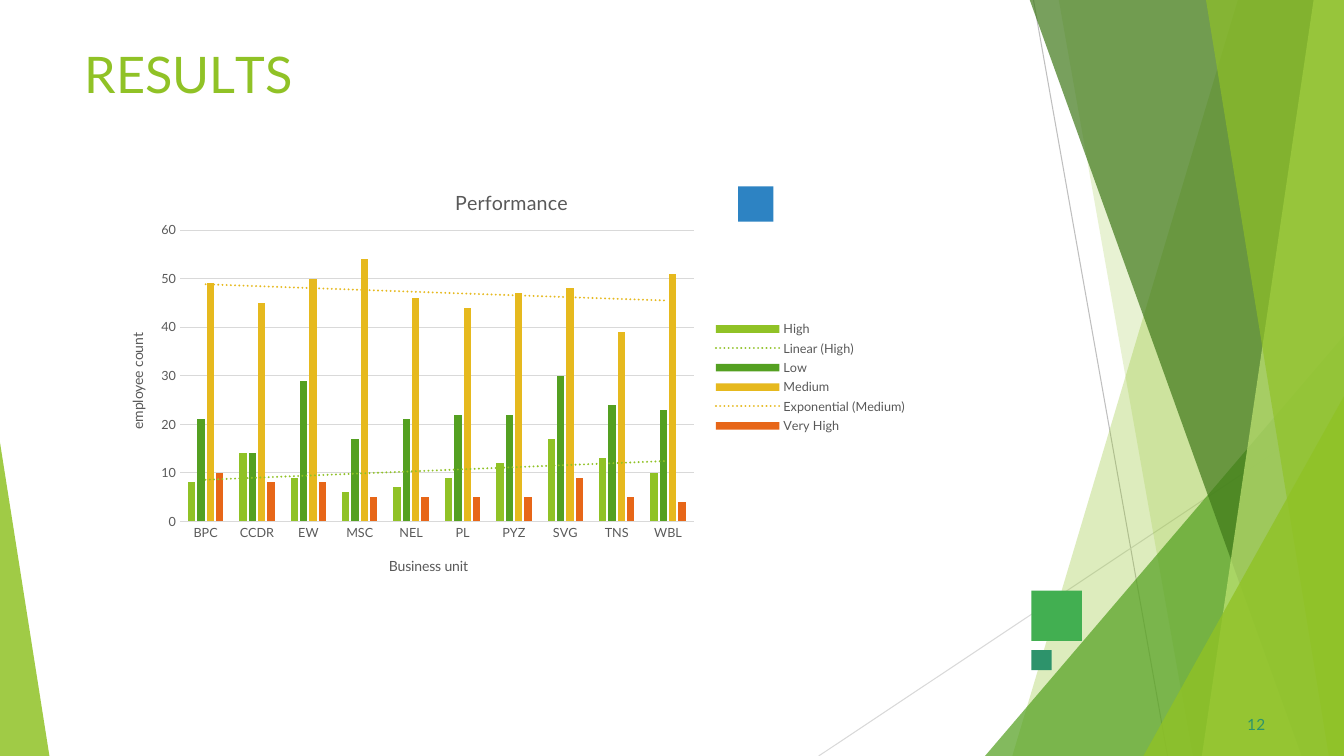
"""Build the RESULTS slide with its performance chart."""
from lxml import etree
from pptx import Presentation
from pptx.chart.data import CategoryChartData
from pptx.dml.color import RGBColor
from pptx.enum.chart import XL_CHART_TYPE, XL_LEGEND_POSITION, XL_TICK_MARK
from pptx.enum.shapes import MSO_CONNECTOR, MSO_SHAPE
from pptx.oxml import parse_xml
from pptx.oxml.ns import qn
from pptx.util import Inches, Pt

CLUSTERED = XL_CHART_TYPE.COLUMN_CLUSTERED
LEGEND_RIGHT = XL_LEGEND_POSITION.RIGHT
NO_TICK = XL_TICK_MARK.NONE
STRAIGHT = MSO_CONNECTOR.STRAIGHT
TRIANGLE = MSO_SHAPE.ISOSCELES_TRIANGLE
RECTANGLE = MSO_SHAPE.RECTANGLE

LIME = RGBColor(0x90, 0xC2, 0x26)
GREEN = RGBColor(0x54, 0xA0, 0x21)
DARK_GREEN = RGBColor(0x3F, 0x78, 0x19)
PALE_LIME = RGBColor(0xC0, 0xE4, 0x74)
GOLD = RGBColor(0xE6, 0xB9, 0x1E)
ORANGE = RGBColor(0xE7, 0x66, 0x18)
EMERALD = RGBColor(0x42, 0xAF, 0x51)
BLUE = RGBColor(0x2D, 0x83, 0xC3)
TEAL = RGBColor(0x2D, 0x93, 0x6B)
GREY = RGBColor(0x59, 0x59, 0x59)
MID_GREY = RGBColor(0xBF, 0xBF, 0xBF)
LIGHT_GREY = RGBColor(0xD9, 0xD9, 0xD9)

FONT = "Lato"
WIDTH, HEIGHT, TOP = 13.33, 7.5, -0.01
CHART_BOX = (1, 1.62, 8.09, 4.25)
CHART_NS = "http://schemas.openxmlformats.org/drawingml/2006/chart"
DRAWING_NS = "http://schemas.openxmlformats.org/drawingml/2006/main"
UNITS = ["BPC", "CCDR", "EW", "MSC", "NEL", "PL", "PYZ", "SVG", "TNS", "WBL"]
RATINGS = [
    ("High", LIME, "linear", [8, 14, 9, 6, 7, 9, 12, 17, 13, 10]),
    ("Low", GREEN, None, [21, 14, 29, 17, 21, 22, 22, 30, 24, 23]),
    ("Medium", GOLD, "exp", [49, 45, 50, 54, 46, 44, 47, 48, 39, 51]),
    ("Very High", ORANGE, None, [10, 8, 8, 5, 5, 5, 5, 9, 5, 4]),
]


def paint(shape, color, opacity=100):
    """Give a shape a plain fill without line or shadow."""
    shape.shadow.inherit = False
    shape.line.fill.background()
    shape.fill.solid()
    shape.fill.fore_color.rgb = color
    if opacity < 100:
        tint = shape.fill._xPr.find(".//" + qn("a:srgbClr"))
        etree.SubElement(tint, qn("a:alpha")).set("val", str(opacity * 1000))


def add_ray(slide, start, end, color):
    """Draw a thin background line."""
    ray = slide.shapes.add_connector(STRAIGHT, *map(Inches, start + end))
    ray.line.color.rgb = color
    ray.line.width = Pt(0.75)
    etree.SubElement(ray._element.spPr, qn("a:effectLst"))


def add_band(slide, top_x, bottom_x, color, opacity):
    """Draw a slanted band that reaches the right edge of the slide."""
    corners = [(WIDTH, TOP), (WIDTH, HEIGHT), (bottom_x, HEIGHT)]
    outline = slide.shapes.build_freeform(Inches(top_x), Inches(TOP))
    outline.add_line_segments([(Inches(x), Inches(y)) for x, y in corners])
    paint(outline.convert_to_shape(), color, opacity)


def add_wedge(slide, box, apex, color, opacity):
    """Draw a right triangle with its apex at the given fraction of its width."""
    wedge = slide.shapes.add_shape(TRIANGLE, *map(Inches, box))
    wedge.adjustments[0] = apex
    paint(wedge, color, opacity)


def add_square(slide, left, top, side, color):
    """Draw a plain coloured square."""
    square = slide.shapes.add_shape(RECTANGLE, *map(Inches, (left, top, side, side)))
    paint(square, color)


def style(font, size, color):
    """Set the typeface, size and colour of a font."""
    font.name = FONT
    font.size = Pt(size)
    font.bold = False
    font.color.rgb = color


def add_label(slide, box, pieces, size, color, indent, space_before):
    """Write one line of text from pieces with their letter spacing in points."""
    frame = slide.shapes.add_textbox(*map(Inches, box)).text_frame
    frame.word_wrap = True
    frame.margin_left = Inches(indent)
    frame.margin_right = frame.margin_bottom = 0
    frame.margin_top = Inches(0.01)
    line = frame.paragraphs[0]
    line.space_before = Pt(space_before)
    for text, spacing in pieces:
        run = line.add_run()
        run.text = text
        style(run.font, size, color)
        run._r.get_or_add_rPr().set("spc", str(round(spacing * 100)))


def place(element, index, left, top, size=None, inner=False):
    """Fix the place of a chart part in fractions of the chart."""
    for old in element.findall(qn("c:layout")):
        element.remove(old)
    settings = [("layoutTarget", "inner")] if inner else []
    settings += [("xMode", "edge"), ("yMode", "edge"), ("x", left), ("y", top)]
    if size:
        settings += zip("wh", size)
    parts = "".join(f'<c:{tag} val="{value}"/>' for tag, value in settings)
    element.insert(index, parse_xml(
        f'<c:layout xmlns:c="{CHART_NS}"><c:manualLayout>{parts}</c:manualLayout></c:layout>'))


def set_title(title, text, size, left, top):
    """Write and place a chart or axis title."""
    title.text_frame.text = text
    style(title.text_frame.paragraphs[0].runs[0].font, size, GREY)
    place(title._element, 1, left, top)


def add_trend(series, kind, color):
    """Add a dotted trend line to a series."""
    trend = parse_xml(
        f'<c:trendline xmlns:c="{CHART_NS}" xmlns:a="{DRAWING_NS}"><c:spPr>'
        f'<a:ln w="19050" cap="rnd"><a:solidFill><a:srgbClr val="{color}"/></a:solidFill>'
        f'<a:prstDash val="sysDot"/></a:ln></c:spPr><c:trendlineType val="{kind}"/>'
        '<c:dispRSqr val="0"/><c:dispEq val="0"/></c:trendline>')
    series._element.find(qn("c:cat")).addprevious(trend)


def style_axis(axis):
    """Set the text and tick marks of an axis."""
    axis.major_tick_mark = axis.minor_tick_mark = NO_TICK
    style(axis.tick_labels.font, 9, GREY)


def add_performance_chart(slide):
    """Add the clustered column chart with its trend lines."""
    data = CategoryChartData()
    data.categories = UNITS
    for name, _, _, counts in RATINGS:
        data.add_series(name, counts)
    chart = slide.shapes.add_chart(CLUSTERED, *map(Inches, CHART_BOX), data).chart
    chart.font.name = FONT
    chart.font.size = Pt(10)
    set_title(chart.chart_title, "Performance", 14, 0.43, 0.05)
    chart.chart_title.include_in_layout = False

    plot = chart.plots[0]
    plot.gap_width, plot.overlap, plot.vary_by_categories = 219, -27, False
    for series, (_, color, trend, _) in zip(plot.series, RATINGS):
        series.format.fill.solid()
        series.format.fill.fore_color.rgb = color
        if trend:
            add_trend(series, trend, color)
    place(chart._chartSpace.chart.plotArea, 0, 0.097, 0.156, (0.63, 0.68), inner=True)

    units, counts = chart.category_axis, chart.value_axis
    style_axis(units)
    style_axis(counts)
    units.format.line.color.rgb = LIGHT_GREY
    units.format.line.width = Pt(0.75)
    counts.format.line.fill.background()
    counts.minimum_scale, counts.maximum_scale, counts.major_unit = 0, 60, 10
    counts.major_gridlines.format.line.color.rgb = LIGHT_GREY
    counts.major_gridlines.format.line.width = Pt(0.75)
    set_title(units.axis_title, "Business unit", 10, 0.35, 0.91)
    set_title(counts.axis_title, "employee count", 10, 0.03, 0.39)
    counts.axis_title.text_frame._txBody.bodyPr.set("rot", "-5400000")

    chart.has_legend = True
    chart.legend.position = LEGEND_RIGHT
    chart.legend.include_in_layout = False
    style(chart.legend.font, 9, GREY)
    place(chart.legend._element, 1, 0.75, 0.36, (0.24, 0.28))


def main():
    """Build and save the slide."""
    deck = Presentation()
    deck.slide_width, deck.slide_height = Inches(WIDTH), Inches(HEIGHT)
    slide = deck.slides.add_slide(deck.slide_layouts[6])
    add_ray(slide, (10.25, 0), (11.58, HEIGHT), MID_GREY)
    add_ray(slide, (WIDTH, 4.03), (8.12, HEIGHT), LIGHT_GREY)
    add_band(slide, 12.28, 10.04, LIME, 30)
    add_band(slide, 10.5, 11.83, LIME, 20)
    add_wedge(slide, (9.77, 3.33, 3.56, 4.17), 1, GREEN, 72)
    add_band(slide, 10.21, 12.91, DARK_GREEN, 70)
    add_band(slide, 13.03, 11.92, PALE_LIME, 70)
    add_band(slide, 11.96, 13.18, LIME, 65)
    add_wedge(slide, (11.34, 3.93, 1.99, 3.57), 1, LIME, 80)
    add_wedge(slide, (0, 4.39, 0.49, 3.11), 0, LIME, 85)
    add_square(slide, 10.23, 5.86, 0.5, EMERALD)
    add_square(slide, 7.32, 1.85, 0.35, BLUE)
    add_square(slide, 10.23, 6.45, 0.2, TEAL)
    heading = [("R", 0), ("E", -0.4), ("S", 0.1), ("U", -0.3), ("L", -4), ("TS", 0)]
    add_label(slide, (0.83, 0.42, 2.67, 0.83), heading, 36, LIME, 0.01, 1.1)
    add_label(slide, (12.33, 7.08, 0.25, 0.21), [("12", 0.1)], 11, TEAL, 0.04, 0.6)
    add_performance_chart(slide)
    deck.save("out.pptx")


if __name__ == "__main__":
    main()
